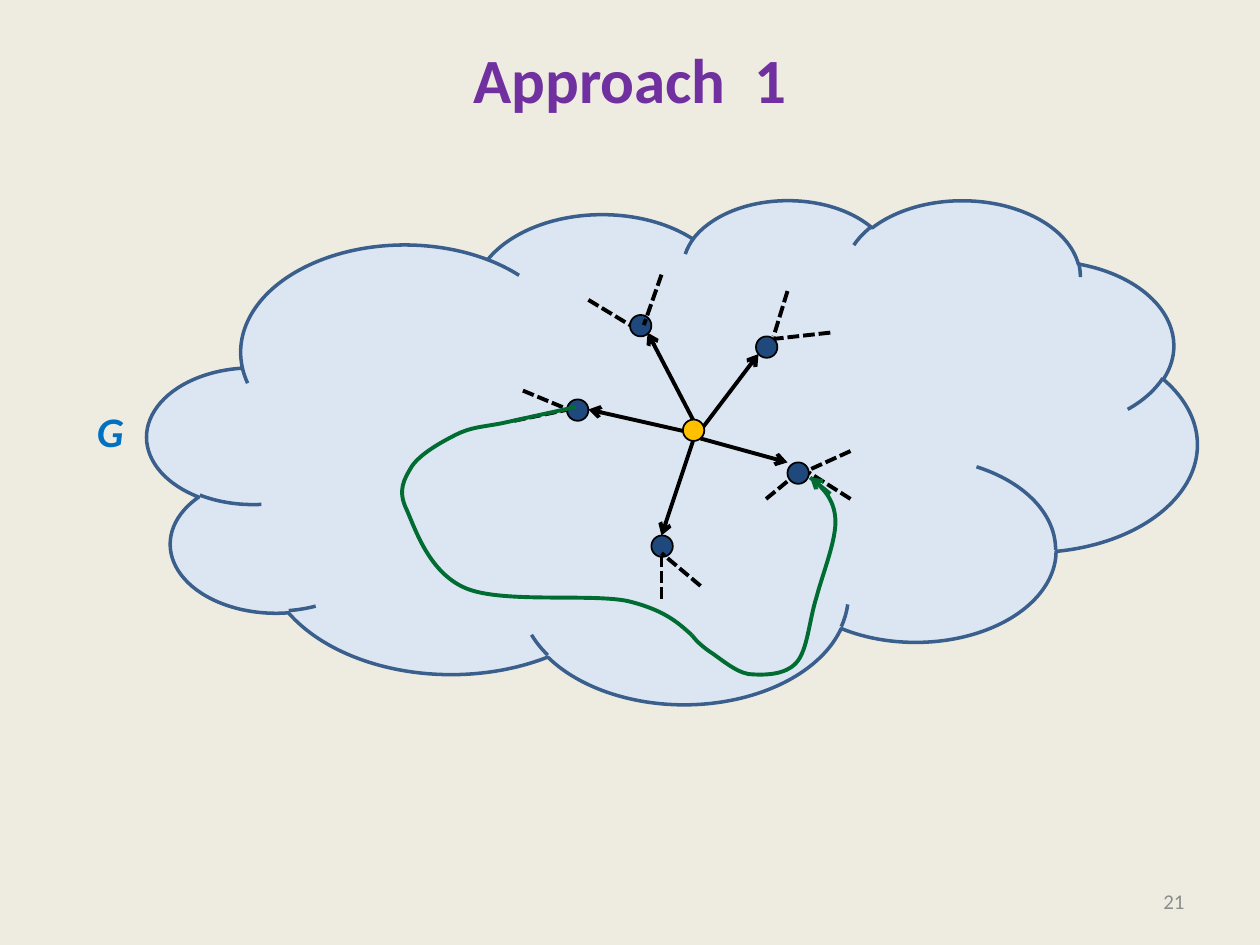
from lxml import etree
from pptx import Presentation
from pptx.dml.color import RGBColor
from pptx.enum import dml, shapes, text
from pptx.oxml import ns
from pptx.util import Inches, Pt

CREAM = RGBColor(0xEE, 0xEC, 0xE1)
PALE_BLUE = RGBColor(0xDC, 0xE6, 0xF2)
CLOUD_EDGE = RGBColor(0x3A, 0x5F, 0x8C)
NAVY = RGBColor(0x1F, 0x49, 0x7D)
GOLD = RGBColor(0xFF, 0xC0, 0x00)
GREEN = RGBColor(0x00, 0x6C, 0x31)
BLUE = RGBColor(0x00, 0x70, 0xC0)
PURPLE = RGBColor(0x70, 0x30, 0xA0)
GRAY = RGBColor(0x8C, 0x8C, 0x8C)
BLACK = RGBColor(0, 0, 0)

NODE_SIZE = 0.17
HUB = (5.42, 3.33)  # left, top
NEIGHBORS = [(6, 2.67), (6.25, 3.67), (5.17, 4.25), (4.5, 3.17), (5, 2.5)]
SPOKES = [
    ((5.42, 3.42), (4.67, 3.25)),
    ((5.5, 3.5), (5.25, 4.25)),
    ((5.56, 3.48), (6.25, 3.67)),
    ((5.58, 3.39), (6.02, 2.81)),
    ((5.5, 3.33), (5.14, 2.64)),
]
STUBS = [
    ((6.59, 2.64), (6.14, 2.69)), ((6.25, 2.31), (6.14, 2.67)),
    ((6.75, 3.96), (6.42, 3.75)), ((6.75, 3.58), (6.42, 3.73)),
    ((6.08, 3.96), (6.25, 3.82)),
    ((5.25, 4.75), (5.25, 4.42)), ((5.56, 4.65), (5.25, 4.39)),
    ((4.08, 3.34), (4.51, 3.25)), ((4.15, 3.1), (4.51, 3.25)),
    ((4.67, 2.38), (5, 2.58)), ((5.25, 2.18), (5.11, 2.58)),
]
# Each walk: corner points to start with, then Bezier segments (control, control, end)
WALKS = [
    ([(4.57, 3.23), (3.98, 3.36)], [
        ((3.82, 3.39), (3.74, 3.39), (3.62, 3.45)),
        ((3.5, 3.51), (3.34, 3.6), (3.27, 3.7)),
        ((3.21, 3.8), (3.15, 3.89), (3.23, 4.05)),
        ((3.3, 4.21), (3.41, 4.55), (3.7, 4.67)),
        ((3.99, 4.79), (4.68, 4.71), (4.98, 4.77)),
        ((5.27, 4.84), (5.38, 4.94), (5.49, 5.04)),
    ]),
    ([(5.49, 5.04)], [
        ((5.52, 5.08), (5.56, 5.12), (5.63, 5.17)),
        ((5.71, 5.22), (5.83, 5.33), (5.94, 5.35)),
        ((6.06, 5.36), (6.23, 5.36), (6.32, 5.26)),
        ((6.41, 5.16), (6.42, 4.93), (6.48, 4.74)),
        ((6.53, 4.55), (6.64, 4.28), (6.63, 4.12)),
        ((6.62, 3.96), (6.53, 3.87), (6.43, 3.79)),
    ]),
]
WALK_ARROW = ((6.59, 3.92), (6.43, 3.79))

prs = Presentation()
prs.slide_width, prs.slide_height = Inches(10), Inches(7.5)
slide = prs.slides.add_slide(prs.slide_layouts[6])
slide.background.fill.solid()
slide.background.fill.fore_color.rgb = CREAM


def add_label(words, box, size, color, align, anchor, bold=False, italic=False, wrap=True):
    frame = slide.shapes.add_textbox(*map(Inches, box)).text_frame
    frame.word_wrap = wrap
    frame.vertical_anchor = anchor
    paragraph = frame.paragraphs[0]
    paragraph.text = words
    paragraph.alignment = align
    font = paragraph.font
    font.name, font.size, font.bold, font.italic = "Calibri", Pt(size), bold, italic
    font.color.rgb = color
    return frame


def add_filled(kind, box, fill, edge, width):
    shape = slide.shapes.add_shape(kind, *map(Inches, box))
    shape.shadow.inherit = False
    shape.fill.solid()
    shape.fill.fore_color.rgb = fill
    shape.line.color.rgb = edge
    shape.line.width = Pt(width)


def add_line(start, end, color=BLACK, arrow=False, dashed=False):
    line = slide.shapes.add_connector(
        shapes.MSO_CONNECTOR.STRAIGHT, *map(Inches, start + end))
    line.line.color.rgb = color
    line.line.width = Pt(2.25)
    if dashed:
        line.line.dash_style = dml.MSO_LINE.SQUARE_DOT
    if arrow:
        etree.SubElement(line.line._get_or_add_ln(), ns.qn("a:tailEnd"), type="arrow")
    etree.SubElement(line._element.spPr, ns.qn("a:effectLst"))


def add_walk(corners, segments):
    """Draw straight lines through the corners, then one Bezier curve per segment."""
    points = corners + [point for segment in segments for point in segment]
    start, *rest = [(Inches(x), Inches(y)) for x, y in points]
    builder = slide.shapes.build_freeform(*start)
    builder.add_line_segments(rest, close=False)
    walk = builder.convert_to_shape()
    curved = list(walk._element.iter(ns.qn("a:lnTo")))[len(corners) - 1:]
    for first, second, last in zip(curved[::3], curved[1::3], curved[2::3]):
        curve = etree.Element(ns.qn("a:cubicBezTo"))
        first.addprevious(curve)
        for step in (first, second, last):
            curve.append(step[0])
            step.getparent().remove(step)
    walk.shadow.inherit = False
    walk.fill.background()
    walk.line.color.rgb = GREEN
    walk.line.width = Pt(2.25)


add_label("21", (7.17, 6.95, 2.33, 0.4), 12, GRAY,
          text.PP_ALIGN.RIGHT, text.MSO_ANCHOR.MIDDLE)
add_filled(shapes.MSO_SHAPE.CLOUD, (1.17, 1.58, 8.33, 4), PALE_BLUE, CLOUD_EDGE, 2)
for start, end in SPOKES:
    add_line(start, end, arrow=True)
for corner, color in [(HUB, GOLD)] + [(node, NAVY) for node in NEIGHBORS]:
    add_filled(shapes.MSO_SHAPE.OVAL, (*corner, NODE_SIZE, NODE_SIZE), color, BLACK, 1)
for start, end in STUBS:
    add_line(start, end, dashed=True)
add_label("G", (0.67, 3.17, 0.42, 0.5), 24, BLUE, text.PP_ALIGN.LEFT,
          text.MSO_ANCHOR.TOP, bold=True, italic=True, wrap=False)
for corners, segments in WALKS:
    add_walk(corners, segments)
add_line(*WALK_ARROW, color=GREEN, arrow=True)
title = add_label("Approach  1", (0.5, 0.3, 9, 1.25), 36, PURPLE,
                  text.PP_ALIGN.CENTER, text.MSO_ANCHOR.TOP, bold=True)
title.margin_top = Inches(0.02)

prs.save("out.pptx")
